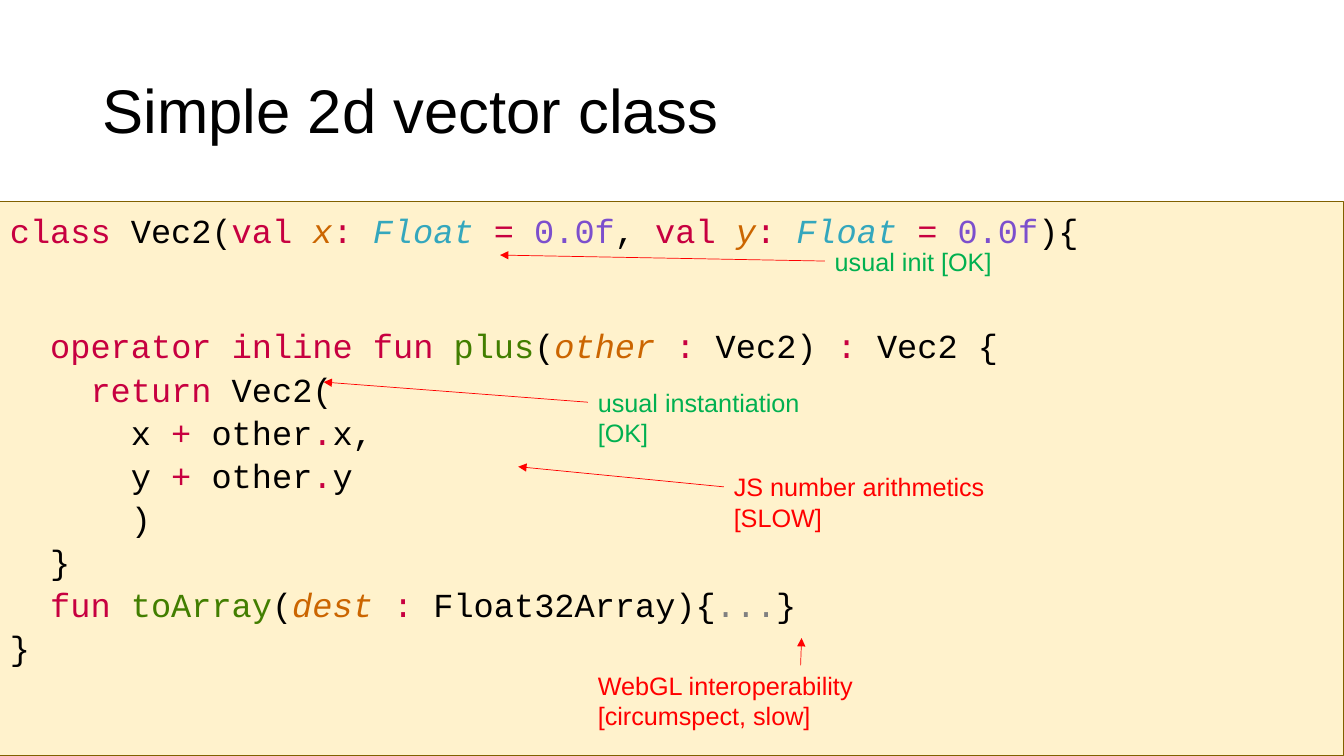
from collections import namedtuple

from lxml import etree
from pptx import Presentation
from pptx.dml.color import RGBColor
from pptx.enum.shapes import MSO_CONNECTOR, MSO_SHAPE
from pptx.enum.text import MSO_ANCHOR, PP_ALIGN
from pptx.oxml.ns import qn
from pptx.util import Inches, Pt

RECTANGLE = MSO_SHAPE.RECTANGLE
STRAIGHT = MSO_CONNECTOR.STRAIGHT
TOP, MIDDLE = MSO_ANCHOR.TOP, MSO_ANCHOR.MIDDLE
LEFT = PP_ALIGN.LEFT
TOP_SIDE, LEFT_SIDE = 0, 1

THEME = {
    "title": {"name": "Arial", "size": 44, "color": "000000"},
    "ok": {"name": "Arial", "size": 18, "color": "00B050"},
    "slow": {"name": "Arial", "size": 18, "color": "FF0000"},
    "panel_fill": "FFF2CC",
    "panel_line": "806000",
    "arrow": "FF0000",
}
CODE = {"name": "Courier New", "size": 24, "color": "000000"}
THEME.update({
    "plain": CODE,
    "keyword": {**CODE, "color": "C70040"},
    "argument": {**CODE, "color": "CB6500", "italic": True},
    "type": {**CODE, "color": "34A7BD", "italic": True},
    "number": {**CODE, "color": "7C4FCD"},
    "function": {**CODE, "color": "427E00"},
    "omitted": {**CODE, "color": "808080"},
})
CODE_SPACING = 1.07
CLASS_HEAD_GAP = 52  # points between the class head and its body


def parameter(name):
    return [("keyword", "val "), ("argument", name), ("keyword", ": "), ("type", "Float "),
            ("keyword", "= "), ("number", "0.0f")]


def component_sum(name, ending=""):
    return [("plain", f"      {name} "), ("keyword", "+ "), ("plain", "other"),
            ("keyword", "."), ("plain", name + ending)]


CODE_LINES = [
    [("keyword", "class "), ("plain", "Vec2("), *parameter("x"), ("plain", ", "),
     *parameter("y"), ("plain", "){")],
    [("keyword", "  operator inline fun "), ("function", "plus"), ("plain", "("),
     ("argument", "other "), ("keyword", ": "), ("plain", "Vec2) "), ("keyword", ": "),
     ("plain", "Vec2 {")],
    [("keyword", "    return "), ("plain", "Vec2(")],
    component_sum("x", ","),
    component_sum("y"),
    [("plain", "      )")],
    [("plain", "  }")],
    [("keyword", "  fun "), ("function", "toArray"), ("plain", "("), ("argument", "dest "),
     ("keyword", ": "), ("plain", "Float32Array){"), ("omitted", "..."), ("plain", "}")],
    [("plain", "}")],
]

# Boxes and arrow tips are percentages of the code panel.
Note = namedtuple("Note", "text style box side tip")
NOTES = [
    Note("usual init [OK]", "ok", (61.37, 7.09, 22.73, 7.27), LEFT_SIDE, (37.21, 9.64)),
    Note("usual instantiation [OK]", "ok", (43.74, 32.55, 18.9, 7.27), LEFT_SIDE, (24.08, 32.55)),
    Note("JS number arithmetics [SLOW]", "slow", (53.86, 47.82, 26.18, 7.27), LEFT_SIDE,
         (38.56, 47.82)),
    Note("WebGL interoperability [circumspect, slow]", "slow", (43.74, 83.64, 31.66, 12.91),
         TOP_SIDE, (59.64, 78.73)),
]


def point_in(box, column, row):
    """Turn percentages of a box into a slide position."""
    left, top, width, height = box
    return int(left + width * column / 100), int(top + height * row / 100)


def box_in(box, columns):
    column, row, width, height = columns
    return (*point_in(box, column, row),
            int(box[2] * width / 100), int(box[3] * height / 100))


def add_span(para, text, style):
    span = para.add_run()
    span.text = text
    values = dict(THEME[style])
    span.font.color.rgb = RGBColor.from_string(values.pop("color"))
    values["size"] = Pt(values["size"])
    for name, value in values.items():
        setattr(span.font, name, value)


def format_frame(frame, anchor):
    for name, value in {"word_wrap": True, "vertical_anchor": anchor}.items():
        setattr(frame, name, value)


def add_text(slide, box, text, style, anchor=TOP):
    shape = slide.shapes.add_textbox(*box)
    format_frame(shape.text_frame, anchor)
    add_span(shape.text_frame.paragraphs[0], text, style)
    return shape


def add_title(slide, box):
    title = add_text(slide, box, "Simple 2d vector class", "title", MIDDLE)
    title.text_frame.paragraphs[0].line_spacing = 0.9


def add_code_panel(slide, box):
    panel = slide.shapes.add_shape(RECTANGLE, *box)
    panel.shadow.inherit = False
    panel.fill.solid()
    panel.fill.fore_color.rgb = RGBColor.from_string(THEME["panel_fill"])
    panel.line.color.rgb = RGBColor.from_string(THEME["panel_line"])
    panel.line.width = Pt(0.75)
    frame = panel.text_frame
    format_frame(frame, TOP)
    for index, spans in enumerate(CODE_LINES):
        para = frame.add_paragraph() if index else frame.paragraphs[0]
        para.alignment = LEFT
        para.line_spacing = CODE_SPACING
        for style, text in spans:
            add_span(para, text, style)
    frame.paragraphs[0].space_after = Pt(CLASS_HEAD_GAP)


def add_note(slide, panel_box, note):
    """Place a remark on the code and its arrow to the line it is about."""
    label = add_text(slide, box_in(panel_box, note.box), note.text, note.style)
    tip = point_in(panel_box, *note.tip)
    arrow = slide.shapes.add_connector(STRAIGHT, label.left, label.top, *tip)
    arrow.begin_connect(label, note.side)
    arrow.line.color.rgb = RGBColor.from_string(THEME["arrow"])
    arrow.line.width = Pt(0.5)
    etree.SubElement(arrow.line._get_or_add_ln(), qn("a:tailEnd"), type="triangle")
    etree.SubElement(arrow._element.spPr, qn("a:effectLst"))


def main():
    deck = Presentation()
    deck.slide_width, deck.slide_height = Inches(13.33), Inches(7.5)
    slide = deck.slides.add_slide(deck.slide_layouts[6])
    page = (0, 0, deck.slide_width, deck.slide_height)
    panel_box = box_in(page, (0, 26.67, 100, 73.33))
    add_title(slide, box_in(page, (6.9, 5.33, 86.27, 19.33)))
    add_code_panel(slide, panel_box)
    for note in NOTES:
        add_note(slide, panel_box, note)
    deck.save("out.pptx")


if __name__ == "__main__":
    main()
